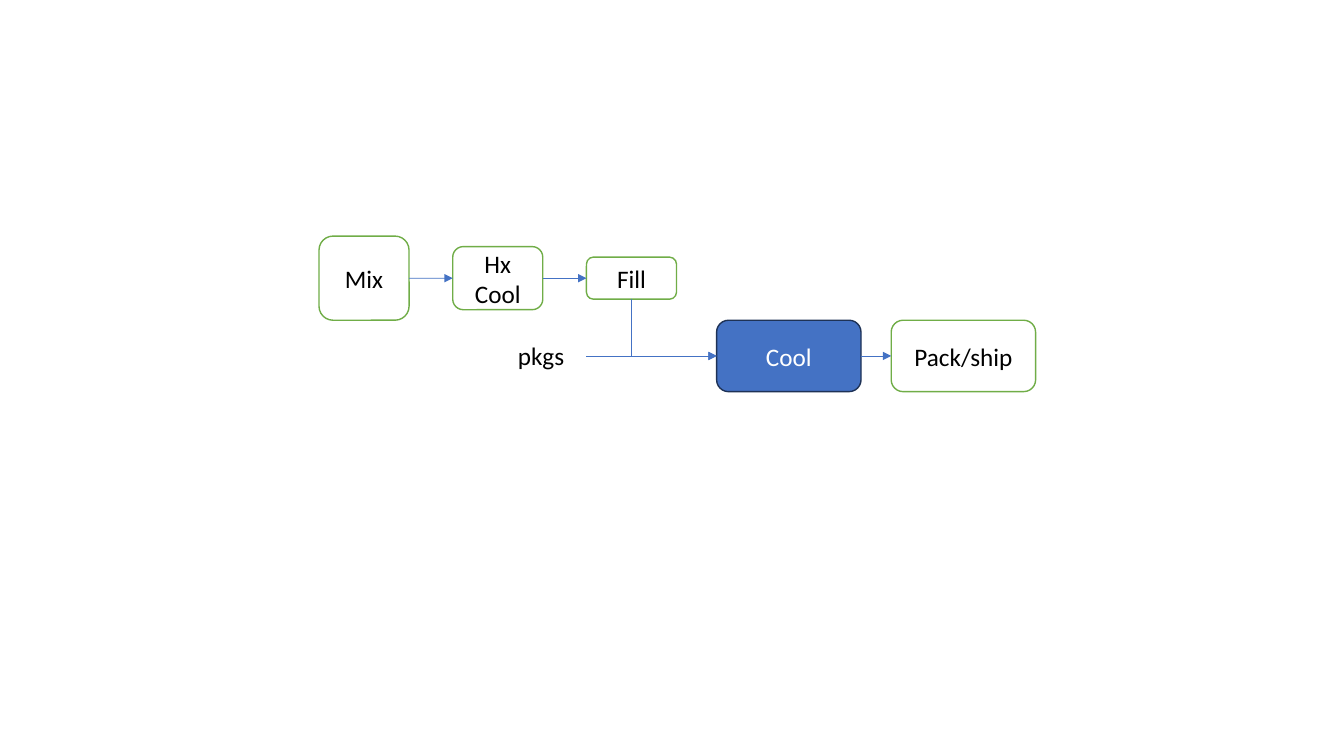
import pptx
import pptx.util
import pptx.dml.color
import pptx.enum.shapes
import pptx.enum.text
import pptx.oxml.ns
import lxml.etree

Cm, Pt = pptx.util.Cm, pptx.util.Pt
RGBColor = pptx.dml.color.RGBColor
MSO_CONNECTOR = pptx.enum.shapes.MSO_CONNECTOR
qn = pptx.oxml.ns.qn

WHITE = RGBColor(0xFF, 0xFF, 0xFF)
BLACK = RGBColor(0x00, 0x00, 0x00)
GREEN = RGBColor(0x70, 0xAD, 0x47)
BLUE = RGBColor(0x44, 0x72, 0xC4)
NAVY = RGBColor(0x1E, 0x32, 0x56)

TOP_Y, BOTTOM_Y = 7.01, 8.97  # centre lines of the two rows, cm
BOTTOM_SIDE, LEFT_SIDE, RIGHT_SIDE = 2, 1, 3  # connection sites

prs = pptx.Presentation()
prs.slide_width, prs.slide_height = Cm(33.87), Cm(19.05)
s = prs.slides.add_slide(prs.slide_layouts[6])


def set_font(p, color):
    p.font.name, p.font.size = "Calibri", Pt(18)
    p.font.color.rgb = color


def add_arrow(kind, x1, y1, x2, y2):
    c = s.shapes.add_connector(kind, x1, y1, x2, y2)
    c.line.color.rgb, c.line.width = BLUE, Pt(0.5)
    spPr = c._element.spPr
    lxml.etree.SubElement(spPr.find(qn("a:ln")), qn("a:tailEnd"), type="triangle")
    lxml.etree.SubElement(spPr, qn("a:effectLst"))
    return c


# Process steps: text, left, centre y, width, height, fill, line, font colour
steps = [("Mix", 8.04, TOP_Y, 2.27, 2.12, WHITE, GREEN, BLACK),
         ("Hx Cool", 11.41, TOP_Y, 2.27, 1.59, WHITE, GREEN, BLACK),
         ("Fill", 14.78, TOP_Y, 2.27, 1.06, WHITE, GREEN, BLACK),
         ("Cool", 18.06, BOTTOM_Y, 3.64, 1.8, BLUE, NAVY, WHITE),
         ("Pack/ship", 22.46, BOTTOM_Y, 3.64, 1.8, WHITE, GREEN, BLACK)]
boxes = {}
for text, left, mid, width, height, fill, line, color in steps:
    sp = s.shapes.add_shape(pptx.enum.shapes.MSO_SHAPE.ROUNDED_RECTANGLE,
                            Cm(left), Cm(mid - height / 2), Cm(width), Cm(height))
    sp.shadow.inherit = False
    sp.fill.solid()
    sp.fill.fore_color.rgb = fill
    sp.line.color.rgb, sp.line.width = line, Pt(1)
    tf = sp.text_frame
    tf.word_wrap = True
    tf.vertical_anchor = pptx.enum.text.MSO_ANCHOR.MIDDLE
    p = tf.paragraphs[0]
    p.text, p.alignment = text, pptx.enum.text.PP_ALIGN.CENTER
    set_font(p, color)
    boxes[text] = sp

# Straight arrows between neighbouring steps
for a, b in [("Mix", "Hx Cool"), ("Hx Cool", "Fill"), ("Cool", "Pack/ship")]:
    c = add_arrow(MSO_CONNECTOR.STRAIGHT, 0, 0, 0, 0)
    c.begin_connect(boxes[a], RIGHT_SIDE)
    c.end_connect(boxes[b], LEFT_SIDE)

# Bent arrow from Fill down to Cool: a quarter-turned, flipped box
fill_box, cool_box = boxes["Fill"], boxes["Cool"]
c = add_arrow(MSO_CONNECTOR.ELBOW, 0, 0, 0, 0)
c.begin_connect(fill_box, BOTTOM_SIDE)
c.end_connect(cool_box, LEFT_SIDE)
x1, y1 = fill_box.left + fill_box.width // 2, fill_box.top + fill_box.height
x2, y2 = cool_box.left, cool_box.top + cool_box.height // 2
c.width, c.height = y2 - y1, x2 - x1
c.left, c.top = (x1 + x2 - c.width) // 2, (y1 + y2 - c.height) // 2
xfrm = c._element.spPr.find(qn("a:xfrm"))
xfrm.set("rot", "16200000")
xfrm.set("flipH", "1")
c._element.spPr.find(qn("a:prstGeom")).set("prst", "bentConnector2")

# Packages feeding into Cool
tf = s.shapes.add_textbox(Cm(12.8), Cm(8.46), Cm(1.7), Cm(1.02)).text_frame
tf.word_wrap = False
tf.auto_size = pptx.enum.text.MSO_AUTO_SIZE.SHAPE_TO_FIT_TEXT
p = tf.paragraphs[0]
p.text = "pkgs"
set_font(p, BLACK)
c = add_arrow(MSO_CONNECTOR.STRAIGHT, fill_box.left, y2, x2, y2)
c.end_connect(cool_box, LEFT_SIDE)

prs.save("out.pptx")
